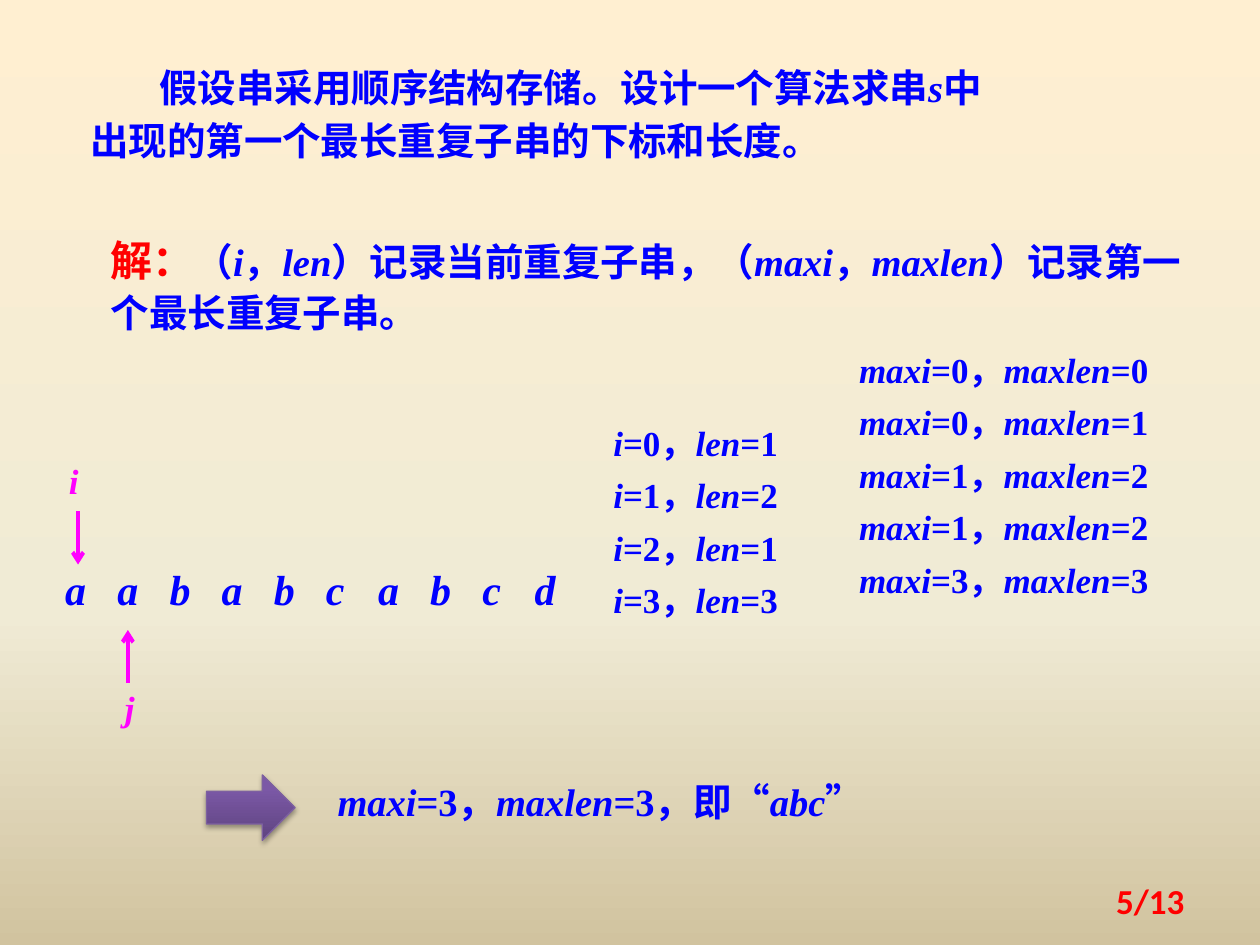
from lxml.etree import SubElement
from pptx import Presentation
from pptx.dml.color import RGBColor
from pptx.enum.shapes import MSO_CONNECTOR, MSO_SHAPE
from pptx.enum.text import MSO_ANCHOR, MSO_AUTO_SIZE, PP_ALIGN
from pptx.oxml.ns import qn
from pptx.util import Pt

BLUE = RGBColor(0x00, 0x00, 0xFF)
RED = RGBColor(0xFF, 0x00, 0x00)
MAGENTA = RGBColor(0xFF, 0x00, 0xFF)
PURPLE = RGBColor(0x7D, 0x60, 0xA0)
BACKGROUND_STOPS = [
    (0, RGBColor(0xFF, 0xEF, 0xD1)),
    (65, RGBColor(0xF0, 0xEB, 0xD5)),
    (100, RGBColor(0xD1, 0xC3, 0x9F)),
]
ARROW_STOPS = [
    (0, RGBColor(0x5F, 0x44, 0x80)),
    (80, RGBColor(0x7B, 0x58, 0xA6)),
    (100, RGBColor(0x7C, 0x57, 0xA8)),
]
SERIF = "Times New Roman"
CHINESE = "Noto Sans CJK SC"
LETTER_STEP = 29.8


def set_gradient(fill, element, stops, angle):
    """Fill with colour stops; the angle runs counter-clockwise."""
    fill.gradient()
    fill.gradient_angle = angle
    stop_list = element.find(".//" + qn("a:gsLst"))
    for stop in list(stop_list):
        stop_list.remove(stop)
    for percent, color in stops:
        stop = SubElement(stop_list, qn("a:gs"), pos=str(percent * 1000))
        SubElement(stop, qn("a:srgbClr"), val=str(color))


def add_run(paragraph, text, size, color, italic=False, font=SERIF):
    run = paragraph.add_run()
    run.text = text
    run.font.size = Pt(size)
    run.font.bold = True
    run.font.italic = italic
    run.font.color.rgb = color
    run.font.name = font
    SubElement(run.font._element, qn("a:ea"), typeface=CHINESE)


def add_marked_text(paragraph, text, size, color, font=SERIF):
    """Write text in which *asterisks* enclose the italic parts."""
    for index, part in enumerate(text.split("*")):
        if part:
            add_run(paragraph, part, size, color, index % 2 == 1, font)


def add_text(slide, box, lines, size, color=BLUE, font=SERIF, spacing=1.1,
             before=2.3, align=PP_ALIGN.LEFT, inset=True, lead=None):
    shape = slide.shapes.add_textbox(*map(Pt, box))
    frame = shape.text_frame
    frame.word_wrap = True
    frame.auto_size = MSO_AUTO_SIZE.SHAPE_TO_FIT_TEXT
    if not inset:
        frame.margin_left = frame.margin_right = 0
        frame.margin_top = frame.margin_bottom = 0
    for index, line in enumerate(lines):
        paragraph = frame.add_paragraph() if index else frame.paragraphs[0]
        paragraph.alignment = align
        paragraph.line_spacing = spacing
        paragraph.space_before = Pt(before)
        if lead:
            add_run(paragraph, lead, 24, RED, font=CHINESE)
        add_marked_text(paragraph, line, size, color, font)
    return frame


def add_steps(slide, box, names, values):
    """List pairs of variable values, one step a line."""
    first, second = names
    lines = [f"*{first}*={a}，*{second}*={b}" for a, b in values]
    add_text(slide, box, lines, 20, spacing=Pt(30), before=0)


def add_pointer(slide, name, label_box, x, start, end):
    """Add an index name and the arrow from it to a letter."""
    add_text(slide, label_box, [f"*{name}*"], 20, MAGENTA,
             align=PP_ALIGN.CENTER, inset=False)
    connector = slide.shapes.add_connector(
        MSO_CONNECTOR.STRAIGHT, Pt(x), Pt(start), Pt(x), Pt(end))
    connector.line.color.rgb = MAGENTA
    connector.line.width = Pt(2.25)
    SubElement(connector.line._get_or_add_ln(), qn("a:tailEnd"), type="arrow")
    SubElement(connector._element.spPr, qn("a:effectLst"))


def add_letters(slide, letters):
    """Set the letters of the string on evenly spaced tab stops."""
    frame = add_text(slide, (30.2, 315.4, 307.4, 39.6),
                     ["*" + "\t".join(letters) + "*"], 24)
    properties = frame.paragraphs[0]._p.get_or_add_pPr()
    tabs = SubElement(properties, qn("a:tabLst"))
    for index in range(1, len(letters)):
        position = Pt(LETTER_STEP * index)
        SubElement(tabs, qn("a:tab"), pos=str(position), algn="l")


def add_result_arrow(slide):
    shape = slide.shapes.add_shape(
        MSO_SHAPE.RIGHT_ARROW, Pt(118), Pt(442.8), Pt(50.6), Pt(37.4))
    set_gradient(shape.fill, shape._element.spPr, ARROW_STOPS, 90)
    shape.line.color.rgb = PURPLE
    shape.line.width = Pt(0.75)
    # Soft shadow below the arrow
    shape.shadow.inherit = False
    effects = shape._element.spPr.find(qn("a:effectLst"))
    shadow = SubElement(effects, qn("a:outerShdw"), blurRad=str(Pt(3.1)),
                        dist=str(Pt(1.8)), dir="5400000", rotWithShape="0")
    color = SubElement(shadow, qn("a:srgbClr"), val="000000")
    SubElement(color, qn("a:alpha"), val="35000")


def main():
    presentation = Presentation()
    presentation.slide_width = Pt(720)
    presentation.slide_height = Pt(540)
    slide = presentation.slides.add_slide(presentation.slide_layouts[6])
    set_gradient(slide.background.fill, slide._element, BACKGROUND_STOPS, 270)

    # Problem
    problem = add_text(
        slide, (44.6, 29.5, 540, 67.7),
        ["假设串采用顺序结构存储。设计一个算法求串*s*中"
         "出现的第一个最长重复子串的下标和长度。"],
        22, spacing=Pt(30), before=0)
    problem.paragraphs[0]._p.get_or_add_pPr().set("indent", str(Pt(39.5)))

    # String with its two indexes
    add_letters(slide, "aababcabcd")
    add_pointer(slide, "i", (28.1, 260, 28.1, 26.6), 44.6, 292.3, 322.6)
    add_pointer(slide, "j", (61.9, 390.2, 24.5, 26.6), 73.1, 390.2, 360)

    # Solution
    add_text(slide, (56.2, 127.4, 630, 66.2),
             ["（*i*，*len*）记录当前重复子串，（*maxi*，*maxlen*）"
              "记录第一个最长重复子串。"], 22, lead="解：")
    add_steps(slide, (343.4, 231.1, 140.4, 128.2), ("i", "len"),
              [(0, 1), (1, 2), (2, 1), (3, 3)])
    add_steps(slide, (483.8, 189.4, 202.3, 158.4), ("maxi", "maxlen"),
              [(0, 0), (0, 1), (1, 2), (1, 2), (3, 3)])

    # Result
    add_result_arrow(slide)
    add_text(slide, (185.8, 438.5, 388, 33.8),
             ["*maxi*=3，*maxlen*=3，即“*abc*”"], 22)

    # Page number
    page = add_text(slide, (516.2, 500.4, 167.8, 28.8), ["5/13"], 20, RED,
                    "Calibri", spacing=1.0, before=0, align=PP_ALIGN.RIGHT)
    page.auto_size = MSO_AUTO_SIZE.NONE
    page.vertical_anchor = MSO_ANCHOR.MIDDLE

    presentation.save("out.pptx")


main()
